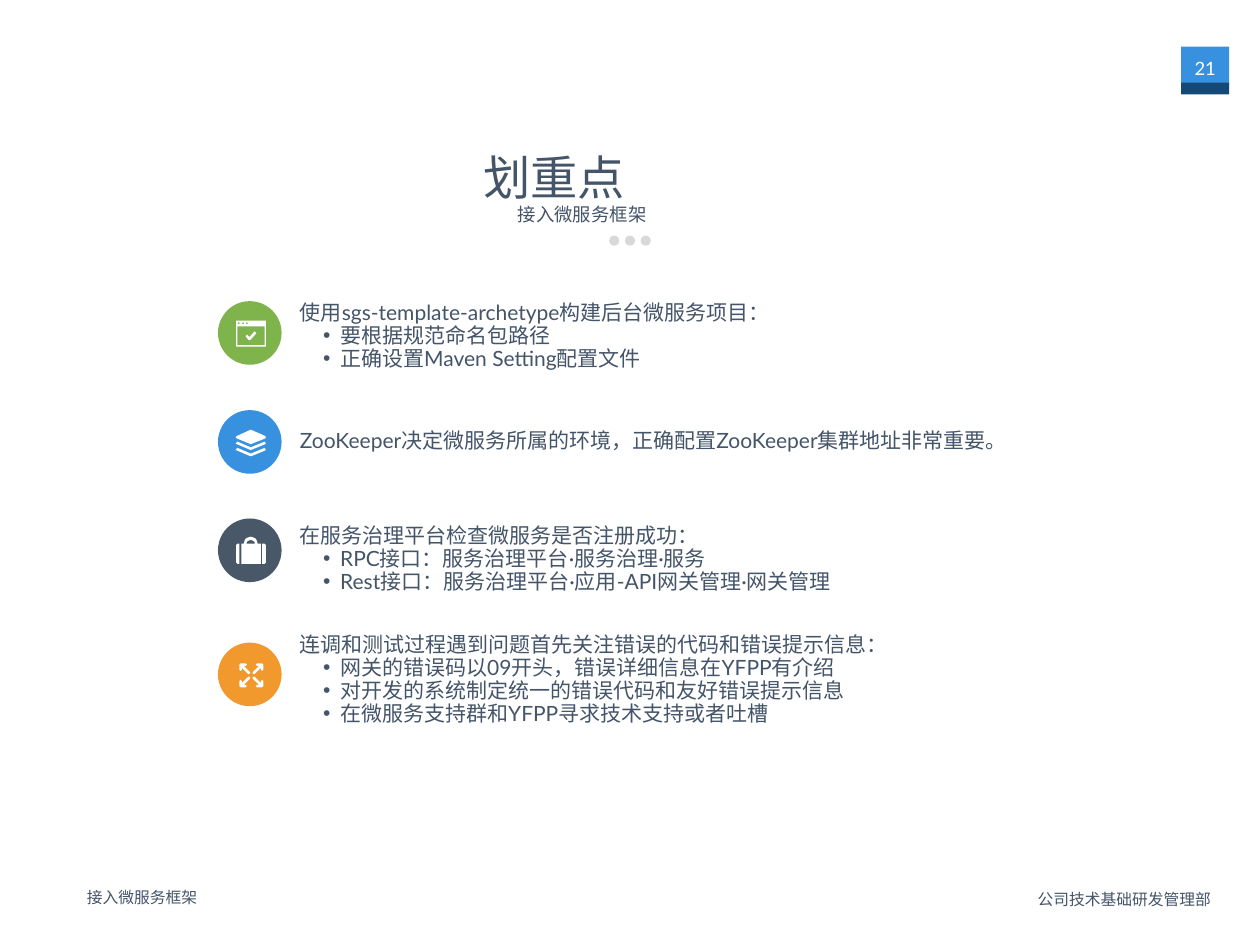
from pptx import Presentation
from pptx.util import Inches, Pt
from pptx.dml.color import RGBColor as RGB
from pptx.enum.shapes import MSO_SHAPE as Shape
from pptx.enum.text import PP_ALIGN as Align, MSO_ANCHOR as Anchor
from lxml import etree

HUE = {"ink": "445469", "blue": "3891DE", "navy": "144977", "dot": "D9D9D9",
       "green": "7FB34C", "slate": "485868", "gold": "F1992D", "white": "FFFFFF"}
NS = "{http://schemas.openxmlformats.org/drawingml/2006/main}"

deck = Presentation()
deck.slide_width, deck.slide_height = Inches(20), Inches(15)
slide = deck.slides.add_slide(deck.slide_layouts[6])
shapes = slide.shapes


def paint(shape, hue):
    shape.shadow.inherit = False
    shape.fill.solid()
    shape.fill.fore_color.rgb = RGB.from_string(HUE[hue])
    shape.line.fill.background()


def write(text, box, size=24, hue="ink", align=Align.LEFT, anchor=Anchor.TOP,
          lead=None, points=()):
    frame = shapes.add_textbox(*map(Inches, box)).text_frame
    frame.word_wrap = True
    frame.vertical_anchor = anchor
    frame.margin_left = frame.margin_right = 0
    frame.margin_top = frame.margin_bottom = 0
    for i, line in enumerate([text, *points]):
        para = frame.add_paragraph() if i else frame.paragraphs[0]
        if i:
            para.level = 1
            props = para._p.get_or_add_pPr()
            props.set("marL", str(Inches(0.64)))
            props.set("indent", str(Inches(-0.27)))
            etree.SubElement(props, NS + "buFont").set("typeface", "Arial")
            etree.SubElement(props, NS + "buChar").set("char", "•")
        para.alignment = align
        if lead:
            para.line_spacing = Pt(lead)
        run = para.add_run()
        run.text = line
        run.font.name = "Lato"
        run.font.size = Pt(size)
        run.font.color.rgb = RGB.from_string(HUE[hue])


# Page number badge
for top, high, hue in [(0.74, 0.63, "blue"), (1.31, 0.19, "navy")]:
    paint(shapes.add_shape(Shape.RECTANGLE, Inches(18.75), Inches(top),
                           Inches(0.76), Inches(high)), hue)
write("21", (18.88, 0.9, 0.5, 0.34), size=21, hue="white", align=Align.CENTER)

# Footer
write("公司技术基础研发管理部", (16.22, 14.09, 3, 0.35), size=18,
      align=Align.RIGHT, anchor=Anchor.MIDDLE)
write("接入微服务框架", (1.38, 14.09, 3, 0.35), size=18)

# Title, subtitle and dots
write("划重点", (7.67, 2.28, 4.67, 1.04), size=54, anchor=Anchor.MIDDLE)
write("接入微服务框架", (8.22, 3.2, 3.57, 0.4), size=21, anchor=Anchor.MIDDLE)
for i in range(3):
    paint(shapes.add_shape(Shape.OVAL, Inches(9.67 + 0.25 * i), Inches(3.74),
                           Inches(0.16), Inches(0.16)), "dot")

# Icon outlines, in hundredths of an inch from the corner of their disc
window = [[(29, 31), (76, 31), (76, 72), (29, 72)],
          [(31, 40), (74, 40), (74, 70), (31, 70)],
          [(46, 53), (50, 57), (58, 48), (61, 51), (51, 62), (49, 62), (44, 56)]]
window += [[(x - 2, 35), (x, 33), (x + 2, 35), (x, 37)] for x in (33, 40, 46)]

layers = [[(28, 43), (30, 41), (52, 31), (75, 41), (76, 43), (75, 45),
           (52, 54), (30, 45)]]
layers += [[(x, y + drop) for x, y in
            [(31, 50), (52, 59), (74, 50), (76, 53), (75, 54), (53, 63),
             (51, 63), (30, 54), (28, 53)]] for drop in (0, 10)]

bag = [[(70, 40), (74, 40), (76, 42), (76, 70), (74, 72), (70, 72)],
       [(34, 40), (31, 40), (29, 42), (29, 70), (31, 72), (34, 72)],
       [(37, 72), (37, 40), (41, 40), (42, 36), (44, 32), (48, 30), (52, 29),
        (56, 30), (60, 32), (62, 36), (63, 40), (68, 40), (68, 72)],
       [(45, 40), (46, 37), (49, 35), (52, 34), (55, 35), (58, 37), (59, 40)]]

arrow = [(17, 19), (9, 19), (7, 17), (9, 15), (12, 15), (2, 5), (2, 3), (4, 2),
         (5, 2), (15, 12), (15, 9), (17, 7), (19, 9), (19, 17)]
arrows = [[(53 + h * x, 52 + v * y) for x, y in arrow]
          for h in (1, -1) for v in (1, -1)]

# Key points: disc top, hue, icon, text top, width, height, heading, bullets
rows = [
    (4.78, "green", window, 4.8, 11.14, 1.12,
     "使用sgs-template-archetype构建后台微服务项目：",
     ["要根据规范命名包路径", "正确设置Maven Setting配置文件"]),
    (6.51, "blue", layers, 6.82, 11.43, 0.4,
     "ZooKeeper决定微服务所属的环境，正确配置ZooKeeper集群地址非常重要。", []),
    (8.23, "slate", bag, 8.34, 11.14, 1.12,
     "在服务治理平台检查微服务是否注册成功：",
     ["RPC接口：服务治理平台·服务治理·服务",
      "Rest接口：服务治理平台·应用-API网关管理·网关管理"]),
    (10.2, "gold", arrows, 10.07, 11.14, 1.49,
     "连调和测试过程遇到问题首先关注错误的代码和错误提示信息：",
     ["网关的错误码以09开头，错误详细信息在YFPP有介绍",
      "对开发的系统制定统一的错误代码和友好错误提示信息",
      "在微服务支持群和YFPP寻求技术支持或者吐槽"]),
]
for top, hue, icon, y, wide, high, head, points in rows:
    left, side = Inches(3.46), Inches(1.01)
    paint(shapes.add_shape(Shape.OVAL, left, Inches(top), side, side), hue)
    pen = shapes.build_freeform(*icon[0][0], scale=Inches(0.01))
    pen.add_line_segments(icon[0][1:])
    for loop in icon[1:]:
        pen.move_to(*loop[0])
        pen.add_line_segments(loop[1:])
    paint(pen.convert_to_shape(left, Inches(top)), "white")
    write(head, (4.76, y, wide, high), lead=26, points=points)

deck.save("out.pptx")
